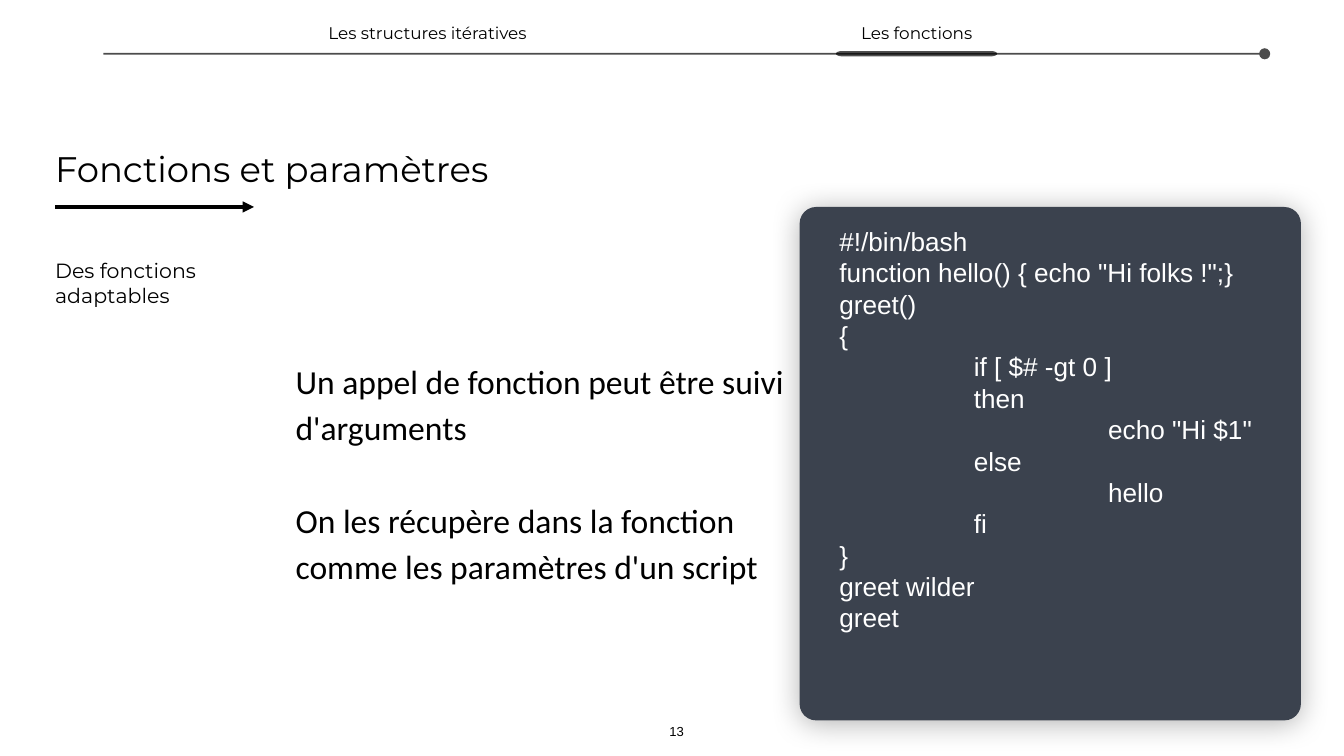
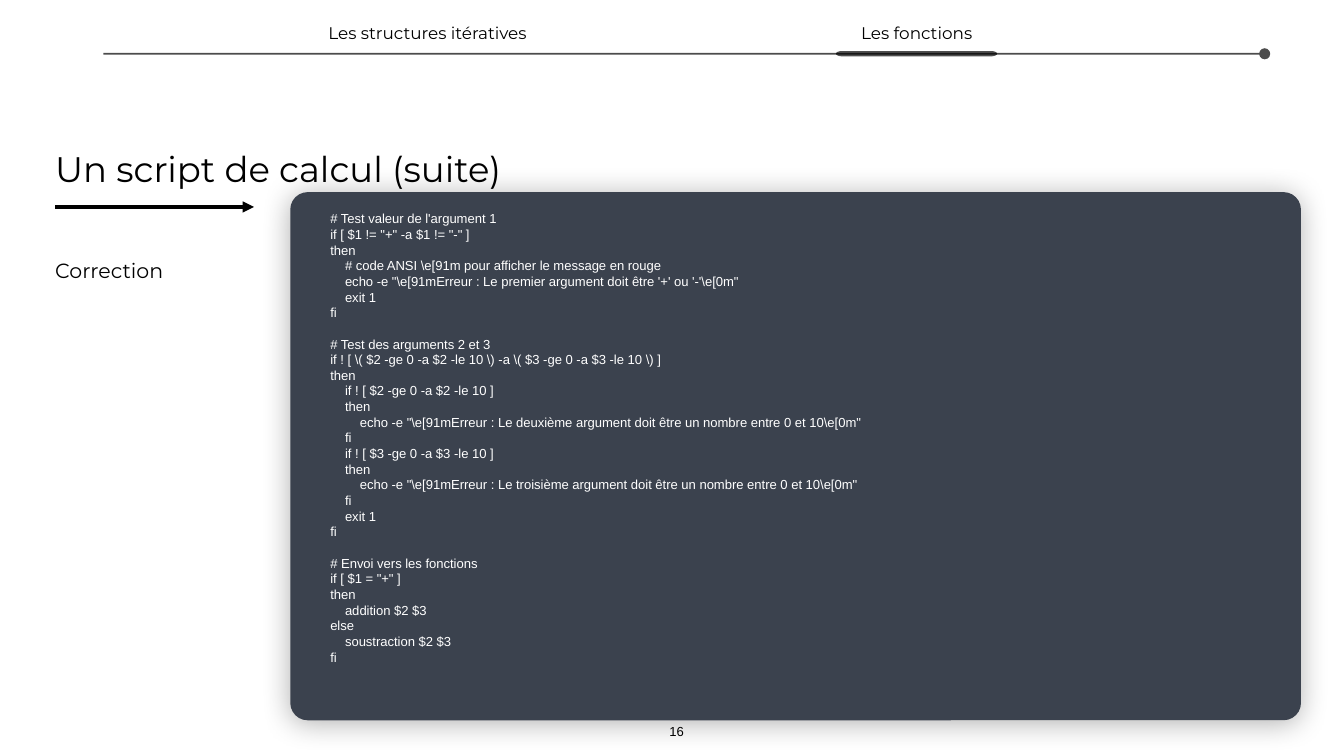
from math import cos, pi, sin

from lxml.etree import SubElement as Sub
from pptx import Presentation
from pptx.dml.color import RGBColor as Rgb
from pptx.enum.shapes import MSO_CONNECTOR as Link, MSO_SHAPE as Form
from pptx.enum.text import MSO_ANCHOR as Anchor, MSO_AUTO_SIZE as Auto, PP_ALIGN as Align
from pptx.oxml.ns import qn
from pptx.util import Inches, Pt

INK, WHITE, SLATE = (Rgb.from_string(c) for c in ("000000", "FFFFFF", "3B424E"))
THEME = {
    "title": {"name": "Montserrat", "size": Pt(19), "color": INK},
    "label": {"name": "Montserrat", "size": Pt(11), "color": INK},
    "nav": {"name": "Montserrat", "size": Pt(9), "color": INK},
    "page": {"name": "Arial", "size": Pt(7), "color": INK},
    "body": {"name": "Calibri", "size": Pt(18), "color": INK},
    "code": {"name": "Arial", "size": Pt(14), "color": WHITE},
    "small": {"name": "Arial", "size": Pt(7), "color": WHITE},
}

GREET = """#!/bin/bash
function hello() { echo "Hi folks !";}
greet()
{
    if [ $# -gt 0 ]
    then
        echo "Hi $1"
    else
        hello
    fi
}
greet wilder
greet"""

CALC = r"""# Test valeur de l'argument 1
if [ $1 != "+" -a $1 != "-" ]
then
    # code ANSI \e[91m pour afficher le message en rouge
    echo -e "\e[91mErreur : Le premier argument doit être '+' ou '-'\e[0m"
    exit 1
fi

# Test des arguments 2 et 3
if ! [ \( $2 -ge 0 -a $2 -le 10 \) -a \( $3 -ge 0 -a $3 -le 10 \) ]
then
    if ! [ $2 -ge 0 -a $2 -le 10 ]
    then
        echo -e "\e[91mErreur : Le deuxième argument doit être un nombre entre 0 et 10\e[0m"
    fi
    if ! [ $3 -ge 0 -a $3 -le 10 ]
    then
        echo -e "\e[91mErreur : Le troisième argument doit être un nombre entre 0 et 10\e[0m"
    fi
    exit 1
fi

# Envoi vers les fonctions
if [ $1 = "+" ]
then
    addition $2 $3
else
    soustraction $2 $3
fi"""

BODY = """Un appel de fonction peut être suivi d'arguments

On les récupère dans la fonction comme les paramètres d'un script"""

SLIDES = [
    {"title": "Fonctions et paramètres", "wide": 8.31, "page": "13",
     "label": "Des fonctions adaptables", "high": 0.41, "body": BODY,
     "code": GREET, "style": "code", "step": 1, "panel": (5.95, 1.54, 3.73, 3.82)},
    {"title": "Un script de calcul (suite)", "wide": 5.61, "page": "16",
     "label": "Correction", "high": 0.23, "body": None,
     "code": CALC, "style": "small", "step": 0.11, "panel": (2.16, 1.43, 7.52, 3.93)},
]


def write(shape, text, style, pads, anchor, align=Align.LEFT, space=None, step=0, gap=0):
    """Four leading spaces make one indent level; an empty line becomes a gap."""
    frame = shape.text_frame
    margins = dict(zip(("margin_left", "margin_top", "margin_right", "margin_bottom"),
                       map(Inches, pads)))
    for key, val in {"word_wrap": True, "vertical_anchor": anchor, **margins}.items():
        setattr(frame, key, val)
    par, before = frame.paragraphs[0], 0
    for line in text.split("\n"):
        if not line:
            before = gap
            continue
        if par.runs:
            par = frame.add_paragraph()
        par.alignment = align
        if space:
            par.line_spacing = space
        if before:
            par.space_before = Pt(before)
        before = 0
        words = line.lstrip()
        depth = (len(line) - len(words)) // 4
        if depth:
            par._p.get_or_add_pPr().set("marL", str(Inches(depth * step)))
        run = par.add_run()
        run.text = words
        for key, val in THEME[style].items():
            if key == "color":
                run.font.color.rgb = val
            else:
                setattr(run.font, key, val)


def rule(slide, left, right, top, width, tip, alpha=100):
    line = slide.shapes.add_connector(
        Link.STRAIGHT, *map(Inches, (left, top, right, top)))
    line.line.color.rgb, line.line.width = INK, Pt(width)
    props = line.element.spPr
    if alpha < 100:
        Sub(props.find(".//" + qn("a:srgbClr")), qn("a:alpha"), val=str(alpha * 1000))
    Sub(props.find(qn("a:ln")), qn("a:tailEnd"), type=tip)
    Sub(props, qn("a:effectLst"))


deck = Presentation()
deck.slide_width = Inches(10)
deck.slide_height = deck.slide_width * 9 // 16

for data in SLIDES:
    slide = deck.slides.add_slide(deck.slide_layouts[6])
    shapes = slide.shapes
    rule(slide, 0.41, 1.89, 1.54, 2, "triangle")

    # Headings, page number and section names
    for text, style, spot, anchor, align in (
        (data["title"], "title", (0.39, 1.07, data["wide"], 0.36), Anchor.MIDDLE, Align.LEFT),
        (data["label"], "label", (0.39, 1.9, 1.44, data["high"]), Anchor.MIDDLE, Align.LEFT),
        (data["page"], "page", (4.92, 5.36, 0.23, 0.16), Anchor.BOTTOM, Align.CENTER),
        ("Les structures itératives", "nav", (1.79, 0.15, 2.78, 0.19),
         Anchor.MIDDLE, Align.CENTER),
        ("Les fonctions", "nav", (5.43, 0.15, 2.78, 0.19), Anchor.MIDDLE, Align.CENTER),
    ):
        box = shapes.add_textbox(*map(Inches, spot))
        write(box, text, style, [0.02] * 4, anchor, align)
        box.text_frame.auto_size = Auto.SHAPE_TO_FIT_TEXT

    if data["body"]:
        box = shapes.add_textbox(*map(Inches, (2.16, 1.59, 3.8, 3.82)))
        write(box, data["body"], "body", [0.04] * 4, Anchor.MIDDLE, space=1.15, gap=25)

    # Code panel with its soft shadow
    panel = shapes.add_shape(Form.ROUNDED_RECTANGLE, *map(Inches, data["panel"]))
    panel.adjustments[0] = 0.033
    panel.fill.solid()
    panel.fill.fore_color.rgb = SLATE
    panel.line.fill.background()
    panel.shadow.inherit = False
    glow = Sub(panel.element.spPr.find(qn("a:effectLst")), qn("a:outerShdw"),
               blurRad=str(Pt(15.8)), dist=str(Pt(1.5)), dir="5400000",
               algn="ctr", rotWithShape="0")
    Sub(Sub(glow, qn("a:srgbClr"), val=str(INK)), qn("a:alpha"), val="30000")
    write(panel, data["code"], data["style"], (0.26, 0.1, 0.1, 0.1), Anchor.TOP,
          step=data["step"], gap=8.4)

    # Section track and the marker on the current section
    rule(slide, 0.77, 9.41, 0.4, 1, "oval", 70)
    dots = []
    for mid, turn in ((7.37, -pi / 2), (6.27, pi / 2)):
        for k in range(9):
            ang = turn + k * pi / 8
            dots.append((Inches(mid + 0.05 * cos(ang)), Inches(0.4 + 0.02 * sin(ang))))
    pen = shapes.build_freeform(*dots[0], scale=1.0)
    pen.add_line_segments(dots[1:], close=True)
    mark = pen.convert_to_shape()
    mark.shadow.inherit = False
    mark.line.fill.background()
    mark.fill.solid()
    mark.fill.fore_color.rgb = INK
    Sub(mark.element.spPr.find(".//" + qn("a:srgbClr")), qn("a:alpha"), val="69000")

deck.save("out.pptx")
